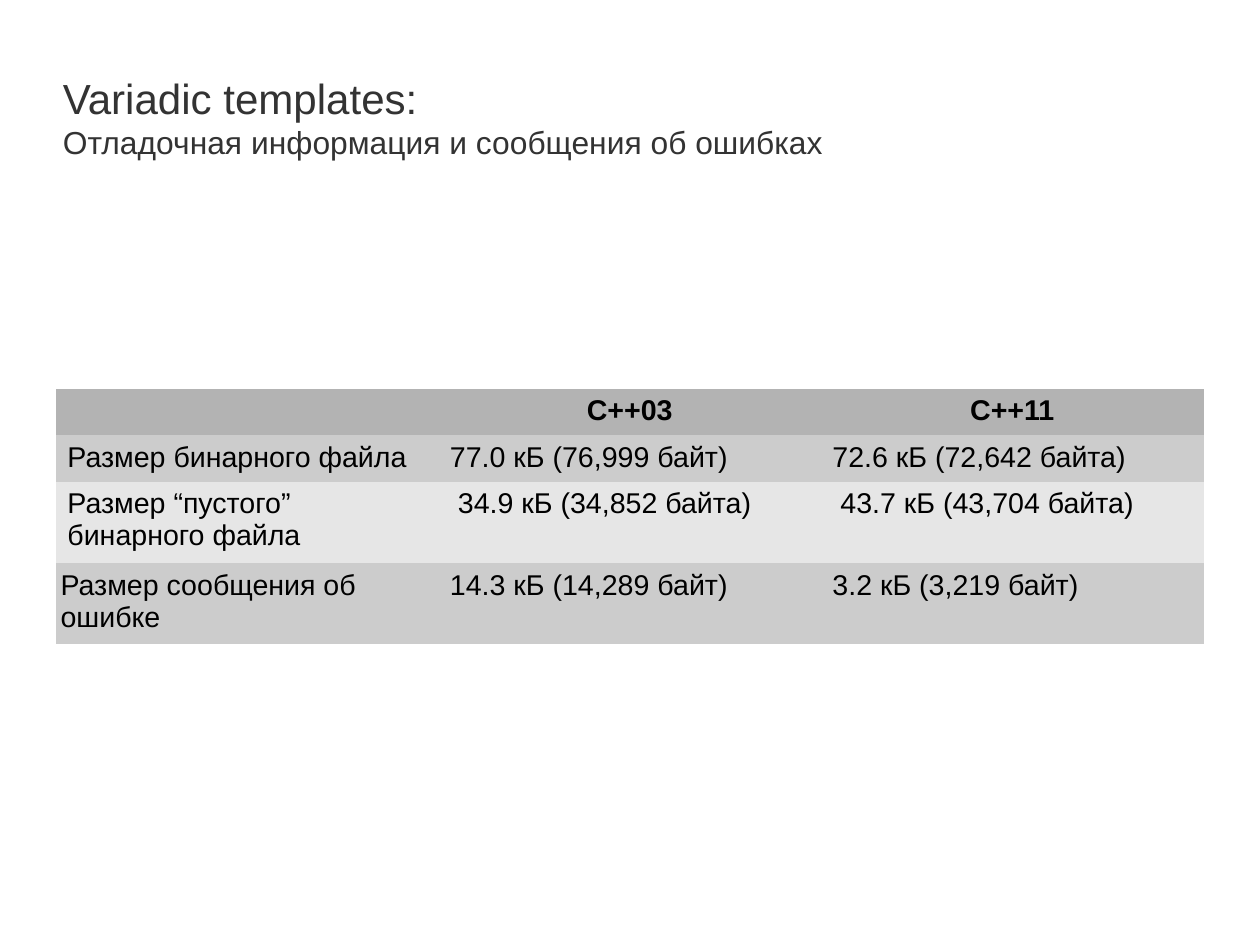
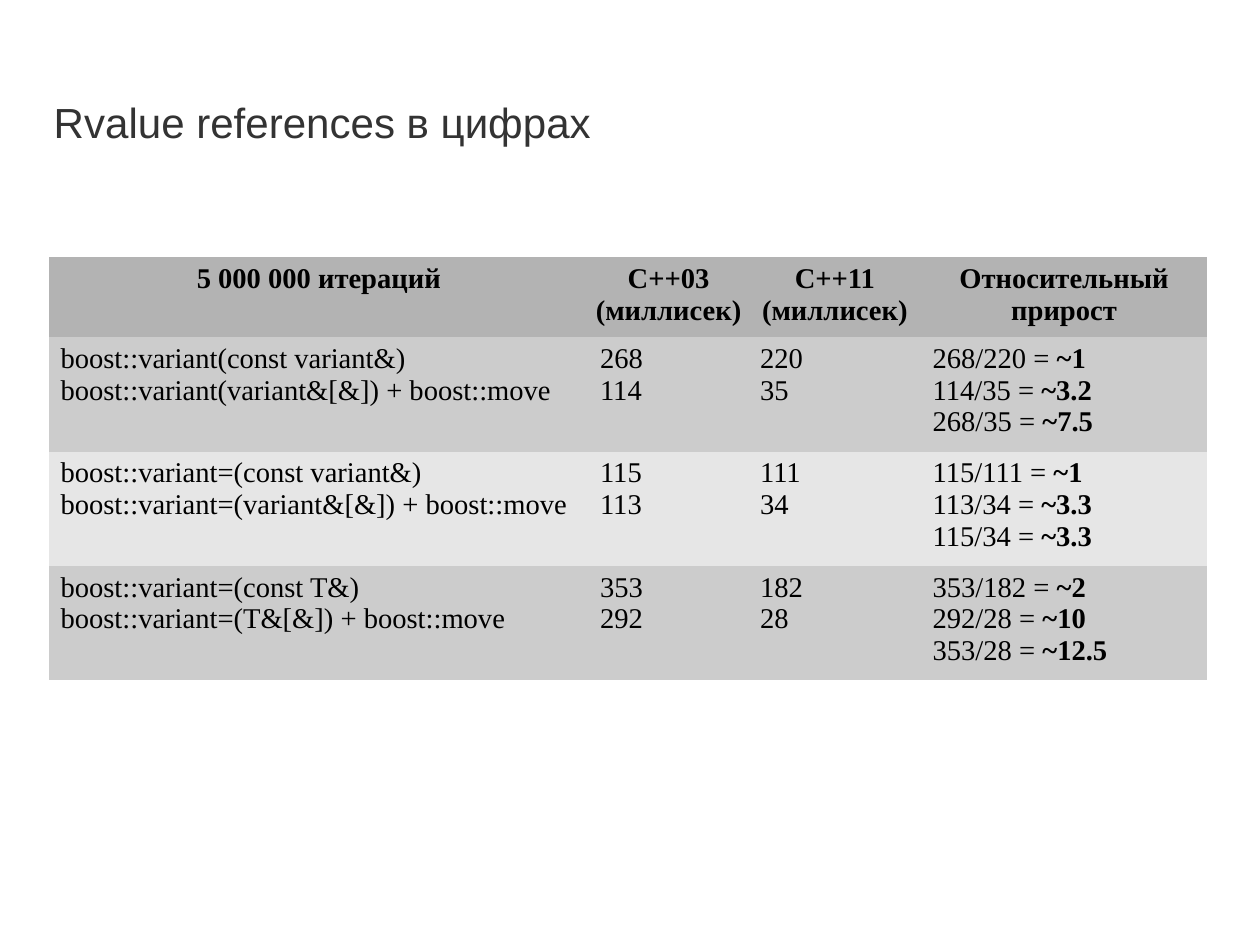
from pptx import Presentation
from pptx.dml.color import RGBColor
from pptx.enum.text import MSO_ANCHOR, PP_ALIGN
from pptx.util import Inches, Pt

MIDDLE = MSO_ANCHOR.MIDDLE
CENTER = PP_ALIGN.CENTER
BLANK = 6
CM_PER_INCH = 2.54
SLIDE_CM = (28, 21)
COLORS = {
    "title": "333333",
    "text": "000000",
    "header": "B3B3B3",
    "odd": "CCCCCC",
    "even": "E6E6E6",
}
PLAIN_TABLE_STYLE = "{2D5ABB26-0587-4C30-8999-92F81FD0307C}"
TITLE_SIZES = (26.5, 20)
TABLE_SIZE = 18
SIDE_MARGIN = 0.1
NARROW = 0.04
INDENTED = 0.17

SLIDES = [
    {
        "title": ["Variadic templates:", "Отладочная информация и сообщения об ошибках"],
        "title_box": (0.55, 0.33, 9.92, 1.38),
        "table_at": (0.49, 3.4),
        "font": "Arial",
        "columns": [10.04 / 3] * 3,
        "heights": [0.41, 0.41, 0.71, 0.69],
        "rows": [
            ["", "С++03", "С++11"],
            ["Размер бинарного файла", "77.0 кБ (76,999 байт)", "72.6 кБ (72,642 байта)"],
            ["Размер “пустого” бинарного файла", "34.9 кБ (34,852 байта)", "43.7 кБ (43,704 байта)"],
            ["Размер сообщения об ошибке", "14.3 кБ (14,289 байт)", "3.2 кБ (3,219 байт)"],
        ],
        "margins": {(2, 1): (INDENTED, SIDE_MARGIN), (2, 2): (INDENTED, SIDE_MARGIN),
                    (3, 0): (NARROW, NARROW)},
    },
    {
        "title": ["Rvalue references в цифрах"],
        "title_box": (0.47, 0.71, 7.72, 0.71),
        "table_at": (0.43, 2.25),
        "font": "Times New Roman",
        "columns": [4.72, 1.4, 1.51, 2.5],
        "heights": [0.7, 1, 1, 1],
        "rows": [
            ["5 000 000 итераций", "C++03\n(миллисек)", "С++11\n(миллисек)", "Относительный прирост"],
            ["boost::variant(const variant&)\nboost::variant(variant&[&]) + boost::move",
             "268\n114", "220\n35", "268/220 = ~1\n114/35 = ~3.2\n268/35 = ~7.5"],
            ["boost::variant=(const variant&)\nboost::variant=(variant&[&]) + boost::move",
             "115\n113", "111\n34", "115/111 = ~1\n113/34 = ~3.3\n115/34 = ~3.3"],
            ["boost::variant=(const T&)\nboost::variant=(T&[&]) + boost::move",
             "353\n292", "182\n28", "353/182 = ~2\n292/28 = ~10\n353/28 = ~12.5"],
        ],
        "margins": {(0, 1): (NARROW, NARROW)},
    },
]


def color(name):
    return RGBColor.from_string(COLORS[name])


def add_title(slide, lines, box):
    frame = slide.shapes.add_textbox(*map(Inches, box)).text_frame
    frame.word_wrap = True
    frame.vertical_anchor = MIDDLE
    frame.margin_left = frame.margin_right = frame.margin_top = frame.margin_bottom = 0
    heading = frame.paragraphs[0]
    for i, (line, size) in enumerate(zip(lines, TITLE_SIZES)):
        if i:
            heading.add_line_break()
        run = heading.add_run()
        run.text = line
        run.font.size = Pt(size)
    heading.font.name = "Arial"
    heading.font.color.rgb = color("title")


def fill_cell(cell, text, font_name, is_header):
    cell.text = text
    for paragraph in cell.text_frame.paragraphs:
        formula, mark, ratio = paragraph.text.partition("~")
        if mark:
            paragraph.runs[0].text = formula
            result = paragraph.add_run()
            result.text = mark + ratio
            result.font.bold = True
        if is_header:
            paragraph.alignment = CENTER
        font = paragraph.font
        font.name = font_name
        font.size = Pt(TABLE_SIZE)
        font.bold = is_header
        font.color.rgb = color("text")


def add_comparison(slide, content):
    columns, heights, rows = content["columns"], content["heights"], content["rows"]
    area = (*content["table_at"], sum(columns), sum(heights))
    table = slide.shapes.add_table(len(rows), len(columns), *map(Inches, area)).table
    table.horz_banding = False
    table.first_row = False
    table._tbl.tblPr.xpath("a:tableStyleId")[0].text = PLAIN_TABLE_STYLE
    for column, width in zip(table.columns, columns):
        column.width = Inches(width)
    for r, (row, height) in enumerate(zip(rows, heights)):
        table.rows[r].height = Inches(height)
        band = "header" if r == 0 else ("even", "odd")[r % 2]
        for c, text in enumerate(row):
            cell = table.cell(r, c)
            cell.fill.solid()
            cell.fill.fore_color.rgb = color(band)
            left, right = content["margins"].get((r, c), (SIDE_MARGIN, SIDE_MARGIN))
            cell.margin_left, cell.margin_right = Inches(left), Inches(right)
            fill_cell(cell, text, content["font"], r == 0)


def main():
    deck = Presentation()
    deck.slide_width, deck.slide_height = (Inches(side / CM_PER_INCH) for side in SLIDE_CM)
    for content in SLIDES:
        slide = deck.slides.add_slide(deck.slide_layouts[BLANK])
        add_title(slide, content["title"], content["title_box"])
        add_comparison(slide, content)
    deck.save("out.pptx")


if __name__ == "__main__":
    main()
